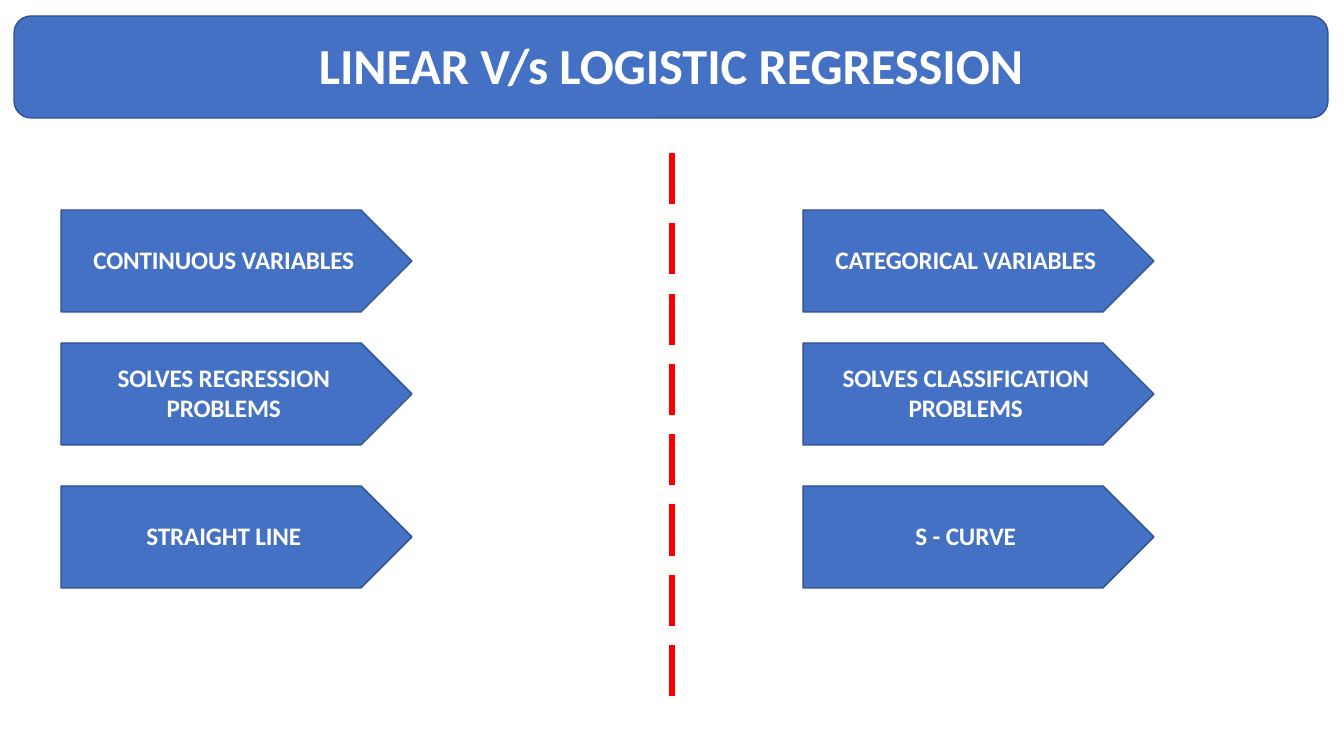
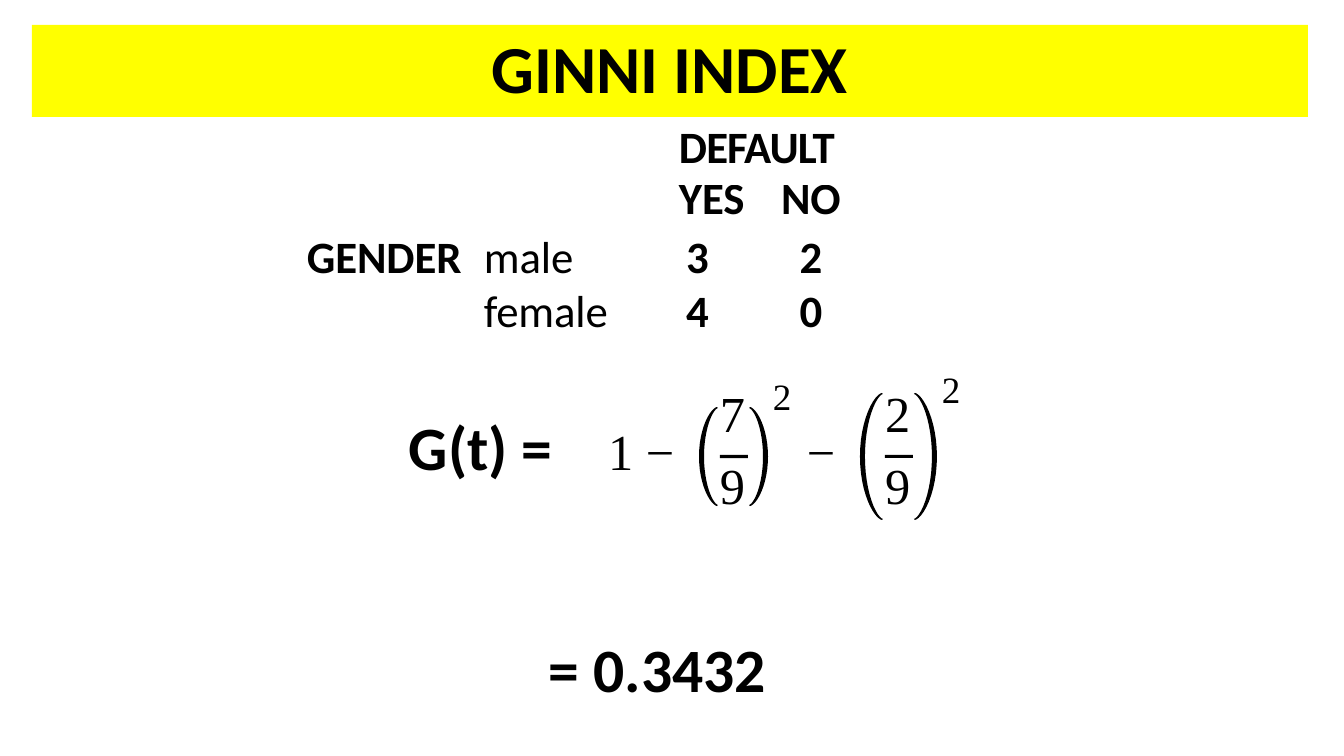
"""Build two slides: linear versus logistic regression, and the Ginni index."""
from math import cos, pi, sin

from lxml import etree
from pptx import Presentation
from pptx.dml.color import RGBColor
from pptx.enum.dml import MSO_LINE
from pptx.enum.shapes import MSO_CONNECTOR, MSO_SHAPE
from pptx.enum.text import MSO_ANCHOR, PP_ALIGN
from pptx.oxml.ns import qn
from pptx.util import Emu, Pt

SLIDE_SIZE = (1344, 756)
EMU_PER_PX = 12192000 / SLIDE_SIZE[0]
COLORS = {
    "blue": "4471C4",
    "outline": "2E528F",
    "red": "FF0000",
    "yellow": "FFFF00",
    "black": "000000",
    "white": "FFFFFF",
}
SANS, SERIF = "Calibri", "Times New Roman"

COMPARISON_TITLE = "LINEAR V/s LOGISTIC REGRESSION"
COMPARISON = {
    61: ["CONTINUOUS VARIABLES", "SOLVES REGRESSION PROBLEMS", "STRAIGHT LINE"],
    803: ["CATEGORICAL VARIABLES", "SOLVES CLASSIFICATION PROBLEMS", "S - CURVE"],
}
TRAIT_TOPS = [210, 343, 486]
TRAIT_SIZE = (351, 102)

GINI_TITLE = "GINNI INDEX"
COUNTS = [
    ["", "", "YES", "NO"],
    ["GENDER", "male", "3", "2"],
    ["", "female", "4", "0"],
]
COUNT_WIDTHS = [169, 171, 119, 81]
COUNT_HEIGHTS = [52, 57, 49]
COUNT_LEADING = [30.4, 35.5, 33.6]
LABELS = [
    ("DEFAULT", 679, 119, dict(size=32, bold=True, spacing=-0.7)),
    ("G(t) =", 409, 409, dict(size=44, bold=True)),
    ("= 0.3432", 549, 631, dict(size=44, bold=True)),
    ("1 −", 608, 420, dict(size=36, font=SERIF)),
    ("−", 807, 420, dict(size=36, font=SERIF)),
]
SQUARED_FRACTIONS = [
    dict(digits="79", left=720, bow=19, height=99, power_top=373),
    dict(digits="29", left=885, bow=23, height=127, power_top=366),
]
FRACTION_MIDDLE = 456.5
BAR_WIDTH, BAR_HEIGHT = 28, 3
DIGIT_TOPS = [382, 454]
PAREN_WEIGHT = 5
PAREN_STEPS = 24


def px(length):
    """Turn pixels into EMU."""
    return Emu(round(length * EMU_PER_PX))


def color(name):
    """Look up a named colour."""
    return RGBColor.from_string(COLORS[name])


def write(frame, text, size=18, font=SANS, ink="black", bold=False,
          align=PP_ALIGN.LEFT, spacing=0, leading=None):
    """Put formatted text in a frame."""
    paragraph = frame.paragraphs[0]
    paragraph.alignment = align
    if leading:
        paragraph.line_spacing = Pt(leading)
    run = paragraph.add_run()
    run.text = text
    run.font.size, run.font.name, run.font.bold = Pt(size), font, bold
    run.font.color.rgb = color(ink)
    if spacing:
        run.font._element.set("spc", str(round(spacing * 100)))


def set_margins(holder, left=0, right=0, bottom=0):
    """Set the margins, with none at the top."""
    holder.margin_left, holder.margin_right = px(left), px(right)
    holder.margin_top, holder.margin_bottom = 0, px(bottom)


def paint(shape, fill, outline=None):
    """Fill and outline a shape without a shadow."""
    shape.shadow.inherit = False
    shape.fill.solid()
    shape.fill.fore_color.rgb = color(fill)
    if outline:
        shape.line.color.rgb = color(outline)
        shape.line.width = Pt(0.96)
    else:
        shape.line.fill.background()


def add_panel(slide, kind, box, fill, text, outline=None, bottom=0, **style):
    """Add a filled shape with centred text."""
    panel = slide.shapes.add_shape(kind, *map(px, box))
    paint(panel, fill, outline)
    frame = panel.text_frame
    frame.word_wrap = True
    frame.vertical_anchor = MSO_ANCHOR.MIDDLE
    set_margins(frame, bottom=bottom)
    write(frame, text, bold=True, align=PP_ALIGN.CENTER, **style)


def add_label(slide, text, left, top, **style):
    """Add a single line of text at a point."""
    size = style["size"]
    width, height = len(text) * size, size * 1.7
    frame = slide.shapes.add_textbox(*map(px, (left, top, width, height))).text_frame
    frame.word_wrap = False
    set_margins(frame)
    write(frame, text, **style)


def add_divider(slide, x, top, bottom):
    """Add a dashed vertical line."""
    divider = slide.shapes.add_connector(
        MSO_CONNECTOR.STRAIGHT, px(x), px(top), px(x), px(bottom))
    divider.line.color.rgb = color("red")
    divider.line.width = Pt(4.56)
    divider.line.dash_style = MSO_LINE.LONG_DASH
    etree.SubElement(divider._element.spPr, qn("a:effectLst"))


def parenthesis(tip, bow, height):
    """Outline a tapered bracket that bows left if bow is negative."""
    angles = [pi * (step / PAREN_STEPS - 0.5) for step in range(PAREN_STEPS + 1)]
    inner_bow = bow - PAREN_WEIGHT if bow > 0 else bow + PAREN_WEIGHT

    def arc(tip_x, depth, half):
        return [(tip_x + depth * max(cos(angle), 0) ** 1.3,
                 FRACTION_MIDDLE + half * sin(angle)) for angle in angles]

    nib = 1 if bow > 0 else -1
    outer = arc(tip + nib, bow - nib, height / 2)
    return outer + arc(tip, inner_bow, height / 2 - 1)[::-1]


def add_squared_fraction(slide, digits, left, bow, height, power_top):
    """Add a bracketed fraction with its exponent."""
    right, right_tip = left + BAR_WIDTH, left + BAR_WIDTH + 1
    bar_top = FRACTION_MIDDLE - BAR_HEIGHT / 2
    bar_bottom = bar_top + BAR_HEIGHT
    contours = [
        parenthesis(left - 2, -bow, height),
        [(left, bar_top), (right, bar_top), (right, bar_bottom), (left, bar_bottom)],
        parenthesis(right_tip, bow, height),
    ]
    builder = slide.shapes.build_freeform(*map(px, contours[0][0]))
    for contour in contours:
        start, *others = [(px(x), px(y)) for x, y in contour]
        if contour is not contours[0]:
            builder.move_to(*start)
        builder.add_line_segments(others, close=True)
    paint(builder.convert_to_shape(), "black")
    for digit, top in zip(digits, DIGIT_TOPS):
        add_label(slide, digit, left, top, size=36, font=SERIF)
    add_label(slide, "2", right_tip + bow + 5, power_top, size=26.5, font=SERIF)


def add_counts(slide):
    """Add the table of defaults by gender."""
    box = (304, 184, sum(COUNT_WIDTHS), sum(COUNT_HEIGHTS))
    counts = slide.shapes.add_table(
        len(COUNTS), len(COUNT_WIDTHS), *map(px, box)).table
    counts.first_row = counts.horz_banding = False
    for column, width in zip(counts.columns, COUNT_WIDTHS):
        column.width = px(width)
    for row, height in zip(counts.rows, COUNT_HEIGHTS):
        row.height = px(height)
    counts.cell(0, 0).merge(counts.cell(0, 1))
    for r, values in enumerate(COUNTS):
        for c, value in enumerate(values):
            cell = counts.cell(r, c)
            cell.fill.background()
            if not value:
                continue
            centred = value.isdigit() or c == 3
            left = [3, 11, 0 if centred else 35, 15][c]
            set_margins(cell, left, 12 if centred and c == 2 else 0)
            write(cell.text_frame, value, size=32, bold=c != 1,
                  align=PP_ALIGN.CENTER if centred else PP_ALIGN.LEFT,
                  spacing=0 if value.isdigit() else -0.1, leading=COUNT_LEADING[r])


def build_comparison(slide):
    """Lay out the two columns of traits."""
    add_panel(slide, MSO_SHAPE.ROUNDED_RECTANGLE, (14, 16, 1314, 102), "blue",
              COMPARISON_TITLE, "outline", bottom=6, size=36, ink="white",
              spacing=-0.05)
    add_divider(slide, 672, 153, 707)
    for left, traits in COMPARISON.items():
        for trait, top in zip(traits, TRAIT_TOPS):
            add_panel(slide, MSO_SHAPE.PENTAGON, (left, top, *TRAIT_SIZE), "blue",
                      trait, "outline", bottom=3, size=18, ink="white",
                      spacing=-0.1)


def build_gini(slide):
    """Lay out the count table and the formula."""
    add_panel(slide, MSO_SHAPE.RECTANGLE, (32, 25, 1276, 92), "yellow",
              GINI_TITLE, bottom=8, size=48)
    add_counts(slide)
    for text, left, top, style in LABELS:
        add_label(slide, text, left, top, **style)
    for fraction in SQUARED_FRACTIONS:
        add_squared_fraction(slide, **fraction)


def main():
    """Build and save the presentation."""
    deck = Presentation()
    deck.slide_width, deck.slide_height = map(px, SLIDE_SIZE)
    for build in (build_comparison, build_gini):
        build(deck.slides.add_slide(deck.slide_layouts[6]))
    deck.save("out.pptx")


if __name__ == "__main__":
    main()
